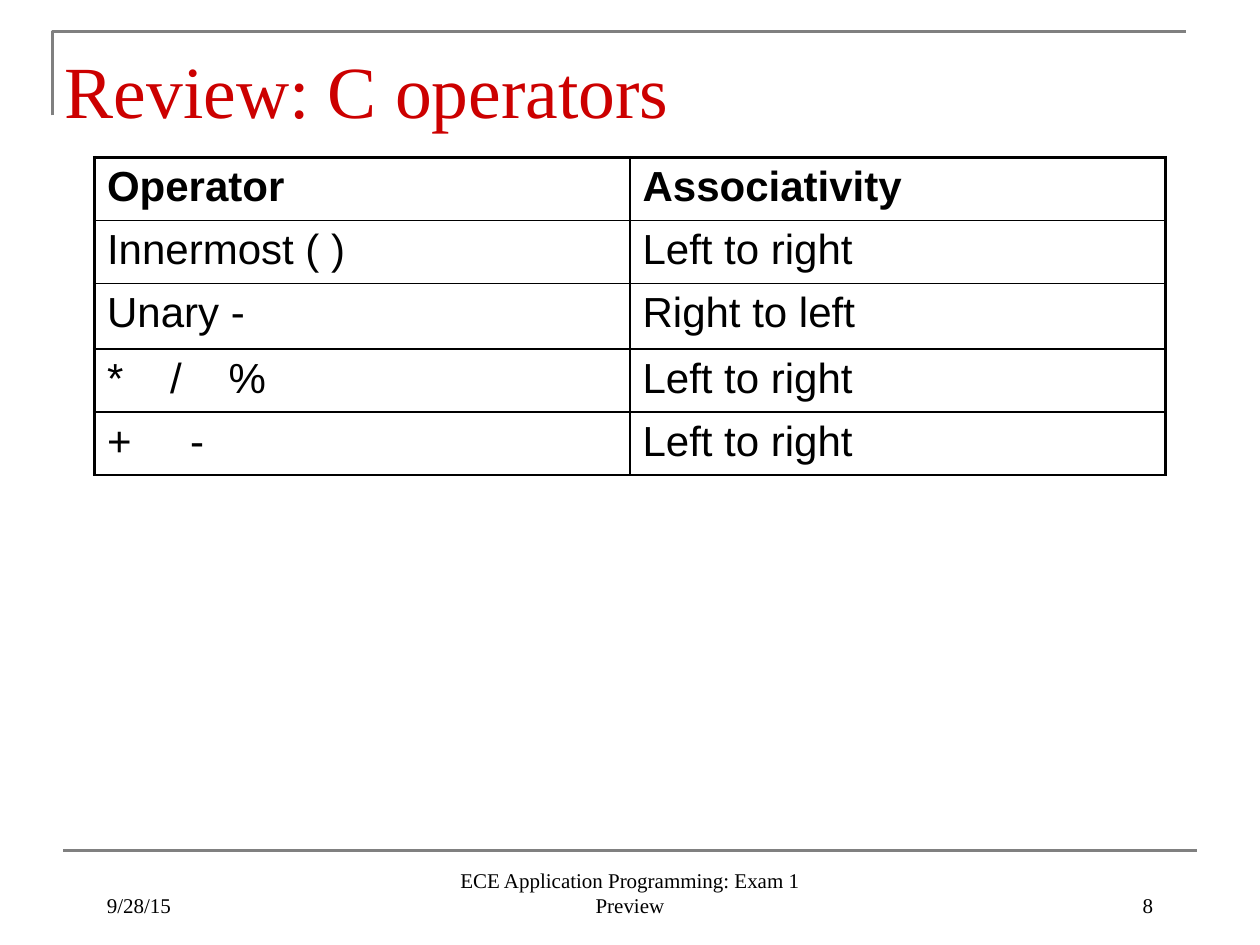
from dataclasses import dataclass

from lxml import etree
from pptx import Presentation
from pptx.dml.color import RGBColor
from pptx.enum.shapes import MSO_CONNECTOR
from pptx.enum.text import MSO_ANCHOR, PP_ALIGN
from pptx.oxml.ns import qn
from pptx.util import Pt

STRAIGHT = MSO_CONNECTOR.STRAIGHT
LEFT, CENTER, RIGHT = PP_ALIGN.LEFT, PP_ALIGN.CENTER, PP_ALIGN.RIGHT
MIDDLE, BOTTOM = MSO_ANCHOR.MIDDLE, MSO_ANCHOR.BOTTOM

COLORS = {"rule": "808080", "title": "CC0000", "text": "000000"}
SERIF, SANS = "Times New Roman", "Arial"
RULE_WIDTH = 1.5
OUTER_BORDER, INNER_BORDER = 2.25, 1


@dataclass
class Label:
    text: str
    left: float
    top: float
    width: float
    height: float
    size: float = 12
    color: str = "text"
    align: PP_ALIGN = LEFT
    anchor: MSO_ANCHOR = BOTTOM


@dataclass
class OperatorRow:
    operator: str
    associativity: str
    height: float = 36
    tab_stops: tuple = ()
    bold: bool = False


LABELS = [
    Label("Review: C operators", 30, 18, 612, 66, 42, "title", anchor=MIDDLE),
    Label("9/28/15", 54, 492, 150, 36),
    Label("ECE Application Programming: Exam 1 Preview", 246, 492, 228, 36, align=CENTER),
    Label("8", 516, 492, 150, 36, align=RIGHT),
]

ROWS = [
    OperatorRow("Operator", "Associativity", bold=True),
    OperatorRow("Innermost ( )", "Left to right"),
    OperatorRow("Unary -", "Right to left", height=37.5),
    OperatorRow("*\t/\t%", "Left to right", tab_stops=(36, 69.4)),
    OperatorRow("+\t-", "Left to right", tab_stops=(47.4,)),
]


def style_font(font, name: str, size: float, color: str) -> None:
    font.name = name
    font.size = Pt(size)
    font.color.rgb = RGBColor.from_string(COLORS[color])


def style_rule(line) -> None:
    line.color.rgb = RGBColor.from_string(COLORS["rule"])
    line.width = Pt(RULE_WIDTH)


def add_label(slide, label: Label) -> None:
    box = slide.shapes.add_textbox(
        Pt(label.left), Pt(label.top), Pt(label.width), Pt(label.height))
    frame = box.text_frame
    frame.word_wrap = True
    frame.vertical_anchor = label.anchor
    frame.text = label.text
    paragraph = frame.paragraphs[0]
    paragraph.alignment = label.align
    style_font(paragraph.font, SERIF, label.size, label.color)


def add_title_corner(slide) -> None:
    builder = slide.shapes.build_freeform(Pt(30), Pt(66))
    builder.add_line_segments([(Pt(30), Pt(18)), (Pt(678), Pt(18))], close=False)
    corner = builder.convert_to_shape()
    corner.shadow.inherit = False
    corner.fill.background()
    style_rule(corner.line)


def add_footer_rule(slide) -> None:
    rule = slide.shapes.add_connector(STRAIGHT, Pt(36), Pt(486), Pt(684), Pt(486))
    style_rule(rule.line)
    etree.SubElement(rule.element.spPr, qn("a:effectLst"))


def set_borders(cell, widths: dict) -> None:
    properties = cell._tc.get_or_add_tcPr()
    for index, (side, width) in enumerate(widths.items()):
        border = etree.Element(qn(f"a:ln{side}"), w=str(Pt(width)))
        fill = etree.SubElement(border, qn("a:solidFill"))
        etree.SubElement(fill, qn("a:srgbClr"), val=COLORS["text"])
        properties.insert(index, border)


def add_tab_stops(paragraph, stops: tuple) -> None:
    tabs = etree.SubElement(paragraph._p.get_or_add_pPr(), qn("a:tabLst"))
    for stop in stops:
        etree.SubElement(tabs, qn("a:tab"), pos=str(Pt(stop)), algn="l")


def add_operator_table(slide, rows: list[OperatorRow]) -> None:
    height = sum(row.height for row in rows)
    table = slide.shapes.add_table(
        len(rows), 2, Pt(54), Pt(90), Pt(612), Pt(height)).table
    table.first_row = False
    table.horz_banding = False
    for row_index, row in enumerate(rows):
        table.rows[row_index].height = Pt(row.height)
        for column, text in enumerate((row.operator, row.associativity)):
            cell = table.cell(row_index, column)
            cell.fill.background()
            set_borders(cell, {
                "L": OUTER_BORDER if column == 0 else INNER_BORDER,
                "R": OUTER_BORDER if column == 1 else INNER_BORDER,
                "T": OUTER_BORDER if row_index == 0 else INNER_BORDER,
                "B": INNER_BORDER,
            })
            cell.text = text
            paragraph = cell.text_frame.paragraphs[0]
            if column == 0 and row.tab_stops:
                add_tab_stops(paragraph, row.tab_stops)
            style_font(paragraph.font, SANS, 24, "text")
            paragraph.font.bold = row.bold


def main() -> None:
    presentation = Presentation()
    presentation.slide_width = Pt(720)
    presentation.slide_height = Pt(540)
    slide = presentation.slides.add_slide(presentation.slide_layouts[6])

    # Rules framing the slide
    add_title_corner(slide)
    add_footer_rule(slide)

    # Operator precedence table
    add_operator_table(slide, ROWS)

    # Title and footer
    for label in LABELS:
        add_label(slide, label)

    presentation.save("out.pptx")


if __name__ == "__main__":
    main()
